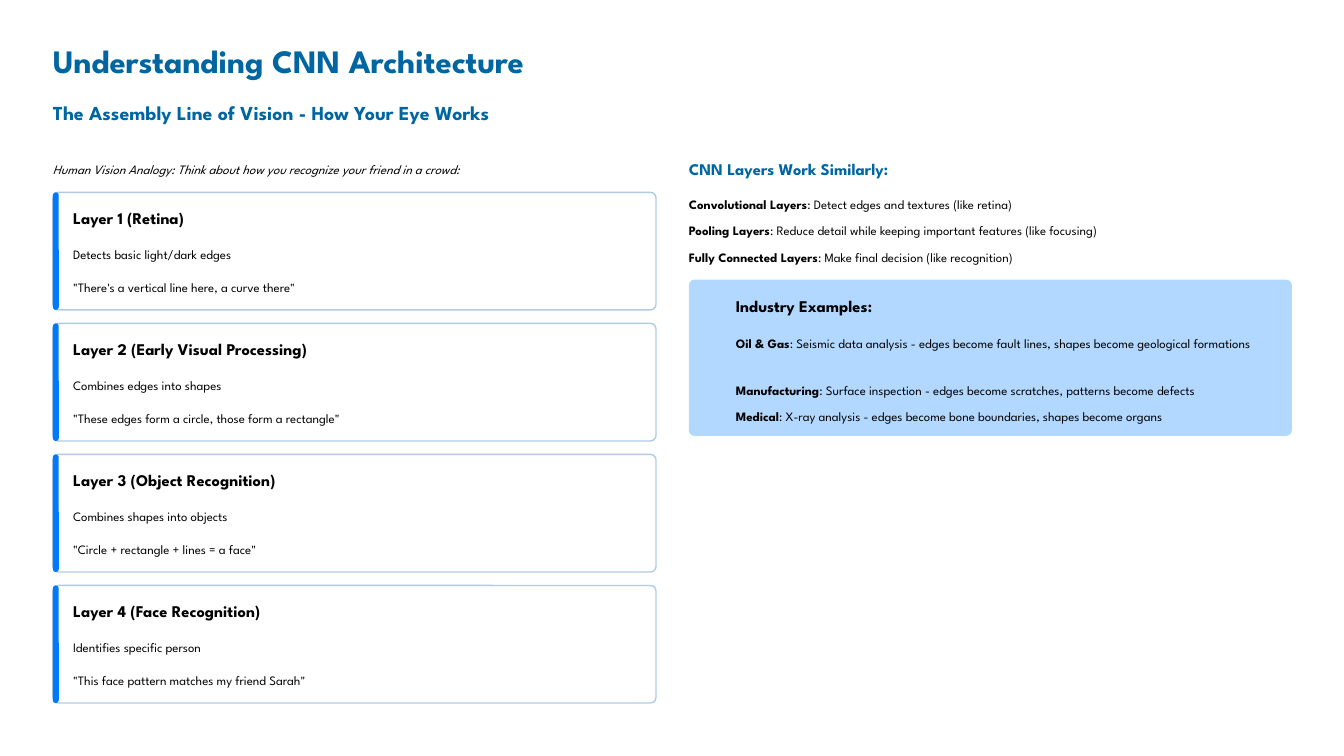
import pptx
import pptx.dml.color
import pptx.enum.shapes
import pptx.enum.text
import pptx.util

Pt = pptx.util.Pt
BLUE = "0066A1"
LEFT, RIGHT, INSET = 45.36, 590.4, 630.72
COLUMN_W = 516.96
CARD_TOP, CARD_H, CARD_STEP = 164.88, 100.8, 112.32

LAYERS = [
    ("Layer 1 (Retina)", "Detects basic light/dark edges",
     '"There\'s a vertical line here, a curve there"'),
    ("Layer 2 (Early Visual Processing)", "Combines edges into shapes",
     '"These edges form a circle, those form a rectangle"'),
    ("Layer 3 (Object Recognition)", "Combines shapes into objects",
     '"Circle + rectangle + lines = a face"'),
    ("Layer 4 (Face Recognition)", "Identifies specific person",
     '"This face pattern matches my friend Sarah"'),
]
CNN_LAYERS = [
    ("Convolutional Layers", ": Detect edges and textures (like retina)"),
    ("Pooling Layers", ": Reduce detail while keeping important features (like focusing)"),
    ("Fully Connected Layers", ": Make final decision (like recognition)"),
]
INDUSTRIES = [
    (282.96, 36, "Oil & Gas",
     ": Seismic data analysis - edges become fault lines, shapes become geological formations"),
    (323.28, 18, "Manufacturing",
     ": Surface inspection - edges become scratches, patterns become defects"),
    (345.6, 18, "Medical",
     ": X-ray analysis - edges become bone boundaries, shapes become organs"),
]


def rgb(value):
    return pptx.dml.color.RGBColor.from_string(value)


def add_run(p, text, size=11, color="000000", bold=False, italic=False):
    r = p.add_run()
    r.text = text
    r.font.name = "League Spartan"
    r.font.size = Pt(size)
    r.font.bold = bold
    r.font.italic = italic
    r.font.color.rgb = rgb(color)


class Deck:
    def __init__(self):
        self.prs = pptx.Presentation()
        self.prs.slide_width = Pt(1152)
        self.prs.slide_height = Pt(648)
        self.s = self.prs.slides.add_slide(self.prs.slide_layouts[5])
        self.s.background.fill.solid()
        self.s.background.fill.fore_color.rgb = rgb("FFFFFF")

    def frame(self, sp, spacing):
        tf = sp.text_frame
        tf.margin_left = tf.margin_top = tf.margin_right = tf.margin_bottom = 0
        tf.word_wrap = True
        tf.auto_size = pptx.enum.text.MSO_AUTO_SIZE.NONE
        tf.vertical_anchor = pptx.enum.text.MSO_ANCHOR.TOP
        p = tf.paragraphs[0]
        p.alignment = pptx.enum.text.PP_ALIGN.LEFT
        p.line_spacing = Pt(spacing)
        p.space_before = Pt(0)
        return p

    def title(self, x, y, w, h, text):
        sp = self.s.shapes.title
        sp.left, sp.top, sp.width, sp.height = Pt(x), Pt(y), Pt(w), Pt(h)
        add_run(self.frame(sp, 35.5), text, size=28, color=BLUE, bold=True)

    def text(self, x, y, w, text, h=18, spacing=18, **style):
        sp = self.s.shapes.add_textbox(Pt(x), Pt(y), Pt(w), Pt(h))
        p = self.frame(sp, spacing)
        add_run(p, text, **style)
        return p

    def heading(self, x, y, w, text, color="000000"):
        self.text(x, y, w, text, spacing=17.5, size=14, color=color, bold=True)

    def term(self, x, y, w, term, meaning, h=18):
        p = self.text(x, y, w, term, h=h, bold=True)
        add_run(p, meaning)

    def panel(self, x, y, w, h, radius, fill, line=None):
        kind = pptx.enum.shapes.MSO_SHAPE.ROUNDED_RECTANGLE
        sp = self.s.shapes.add_shape(kind, Pt(x), Pt(y), Pt(w), Pt(h))
        sp.adjustments[0] = radius / min(w, h)
        sp.shadow.inherit = False
        sp.fill.solid()
        sp.fill.fore_color.rgb = rgb(fill)
        if line:
            sp.line.color.rgb = rgb(line)
            sp.line.width = Pt(1.2)
        else:
            sp.line.fill.background()

    def card(self, y, name, role, quote):
        self.panel(LEFT, y, COLUMN_W, CARD_H, 4.75, "FFFFFF", line="B2CBE5")
        self.panel(LEFT, y, 5.04, CARD_H, 2.5, "0079FA")
        self.heading(62.64, y + 12.6, 300, name)
        self.text(62.64, y + 41.76, 486.72, role)
        self.text(62.64, y + 70, 486.72, quote)


def main():
    deck = Deck()
    deck.title(LEFT, 33.12, 435.6, 35.28, "Understanding CNN Architecture")
    deck.text(LEFT, 85.68, 406.8, "The Assembly Line of Vision - How Your Eye Works",
              h=21.6, spacing=21, size=17, color=BLUE, bold=True)
    deck.text(LEFT, 133.92, COLUMN_W,
              "Human Vision Analogy: Think about how you recognize your friend in a crowd:",
              italic=True)
    for i, layer in enumerate(LAYERS):
        deck.card(CARD_TOP + i * CARD_STEP, *layer)

    deck.heading(RIGHT, 135.36, 250, "CNN Layers Work Similarly:", color=BLUE)
    for i, (term, meaning) in enumerate(CNN_LAYERS):
        deck.term(RIGHT, 164.16 + i * 22.32, COLUMN_W, term, meaning)

    deck.panel(RIGHT, 239.76, COLUMN_W, 133.92, 4.8, "B3D8FF")
    deck.heading(INSET, 253.44, 200, "Industry Examples:")
    for y, h, term, meaning in INDUSTRIES:
        deck.term(INSET, y, 465.12, term, meaning, h=h)
    deck.prs.save("out.pptx")


if __name__ == "__main__":
    main()
